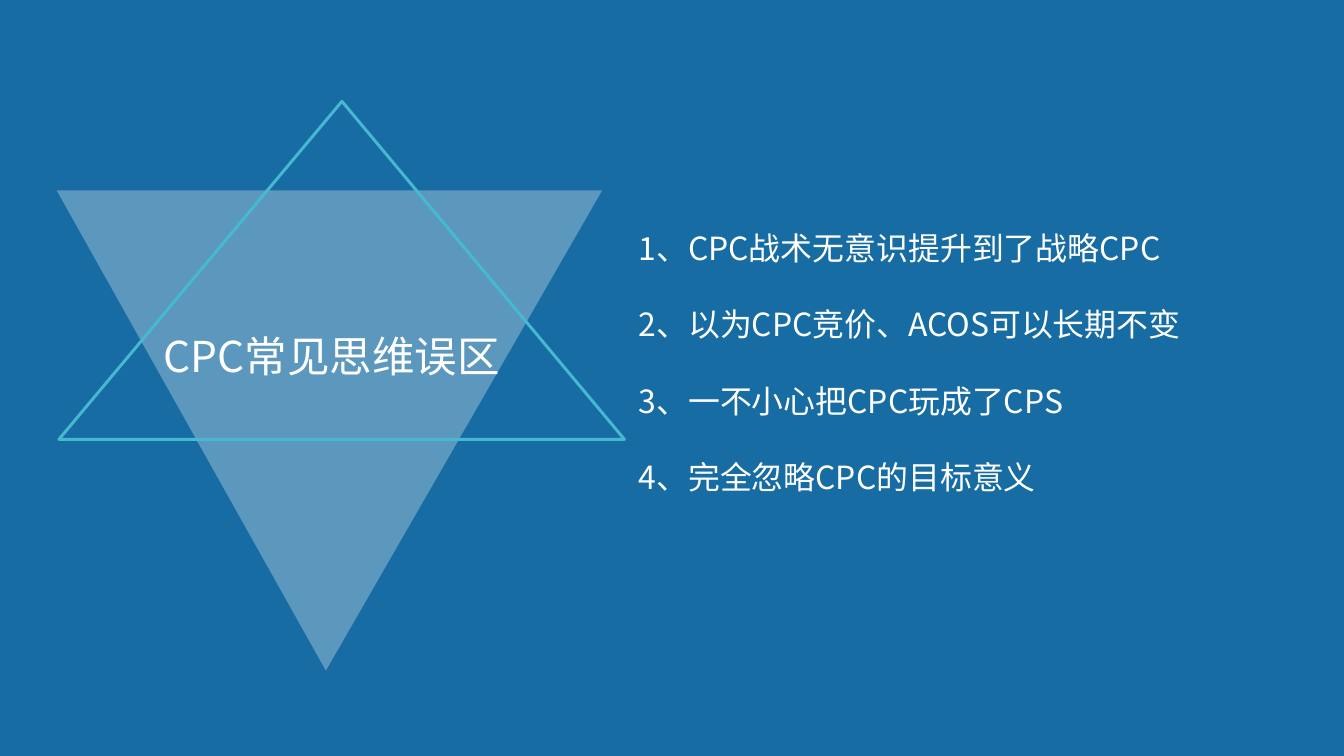
from dataclasses import dataclass

from lxml import etree
from pptx import Presentation
from pptx import util as u
from pptx.dml import color
from pptx.enum import text
from pptx.oxml import ns


@dataclass(frozen=True)
class Theme:
    background: str = "166CA3"
    text: str = "FFFFFF"
    outline: str = "46B9D0"
    font: str = "Noto Sans CJK SC"
    title_size: int = 32
    list_size: int = 24
    line_factor: float = 1.2
    outline_width: float = 2.25
    fill_opacity: int = 30


THEME = Theme()

TITLE = "CPC常见思维误区"
MISTAKES = [
    "1、CPC战术无意识提升到了战略CPC",
    "2、以为CPC竞价、ACOS可以长期不变",
    "3、一不小心把CPC玩成了CPS",
    "4、完全忽略CPC的目标意义",
]


def rgb(value):
    return color.RGBColor.from_string(value)


def place(shape, left, top, width, height):
    shape.left, shape.top = u.Pt(left), u.Pt(top)
    shape.width, shape.height = u.Pt(width), u.Pt(height)


def write_placeholder(placeholder, lines, size, alignment):
    """Fill a placeholder with unbulleted lines, one blank line's height apart."""
    frame = placeholder.text_frame
    frame.margin_left = frame.margin_right = frame.margin_top = frame.margin_bottom = 0
    frame.word_wrap = True
    frame.auto_size = text.MSO_AUTO_SIZE.NONE
    frame.vertical_anchor = text.MSO_ANCHOR.TOP
    line_height = u.Pt(size * THEME.line_factor)

    for index, line in enumerate(lines):
        paragraph = frame.paragraphs[0] if index == 0 else frame.add_paragraph()
        properties = paragraph._p.get_or_add_pPr()
        properties.set("marL", "0")
        properties.set("indent", "0")
        etree.SubElement(properties, ns.qn("a:buNone"))
        paragraph.alignment = alignment
        paragraph.line_spacing = line_height
        paragraph.space_before = line_height if index else u.Pt(0)

        run = paragraph.add_run()
        run.text = line
        run.font.name = THEME.font
        run.font.size = u.Pt(size)
        run.font.color.rgb = rgb(THEME.text)
        east_asian = etree.SubElement(run._r.get_or_add_rPr(), ns.qn("a:ea"))
        east_asian.set("typeface", THEME.font)


def add_triangle(slide, corners):
    start, *others = [(u.Pt(x), u.Pt(y)) for x, y in corners]
    builder = slide.shapes.build_freeform(*start)
    builder.add_line_segments(others, close=True)
    triangle = builder.convert_to_shape()
    triangle.shadow.inherit = False
    return triangle


def add_filled_triangle(slide, corners):
    triangle = add_triangle(slide, corners)
    triangle.line.fill.background()
    triangle.fill.solid()
    triangle.fill.fore_color.rgb = rgb(THEME.text)
    fill_color = triangle._element.spPr.find(".//" + ns.qn("a:srgbClr"))
    alpha = etree.SubElement(fill_color, ns.qn("a:alpha"))
    alpha.set("val", str(THEME.fill_opacity * 1000))


def add_outlined_triangle(slide, corners):
    triangle = add_triangle(slide, corners)
    triangle.fill.background()
    triangle.line.color.rgb = rgb(THEME.outline)
    triangle.line.width = u.Pt(THEME.outline_width)


def main():
    presentation = Presentation()
    presentation.slide_width = u.Pt(1012.3)
    presentation.slide_height = u.Pt(569.5)
    slide = presentation.slides.add_slide(presentation.slide_layouts[1])

    # Background
    slide.background.fill.solid()
    slide.background.fill.fore_color.rgb = rgb(THEME.background)

    # Title and list
    title = slide.shapes.title
    place(title, 113.5, 248.5, 273, 39)
    write_placeholder(title, [TITLE], THEME.title_size, text.PP_ALIGN.CENTER)

    mistakes = slide.placeholders[1]
    place(mistakes, 481, 172, 454.5, 204)
    write_placeholder(mistakes, MISTAKES, THEME.list_size, text.PP_ALIGN.LEFT)

    # Overlapping triangles
    add_filled_triangle(slide, [(42.7, 143.4), (453.6, 143.4), (245.5, 505.2)])
    add_outlined_triangle(slide, [(257.6, 76.3), (470.4, 331), (44.4, 331)])

    presentation.save("out.pptx")


if __name__ == "__main__":
    main()
